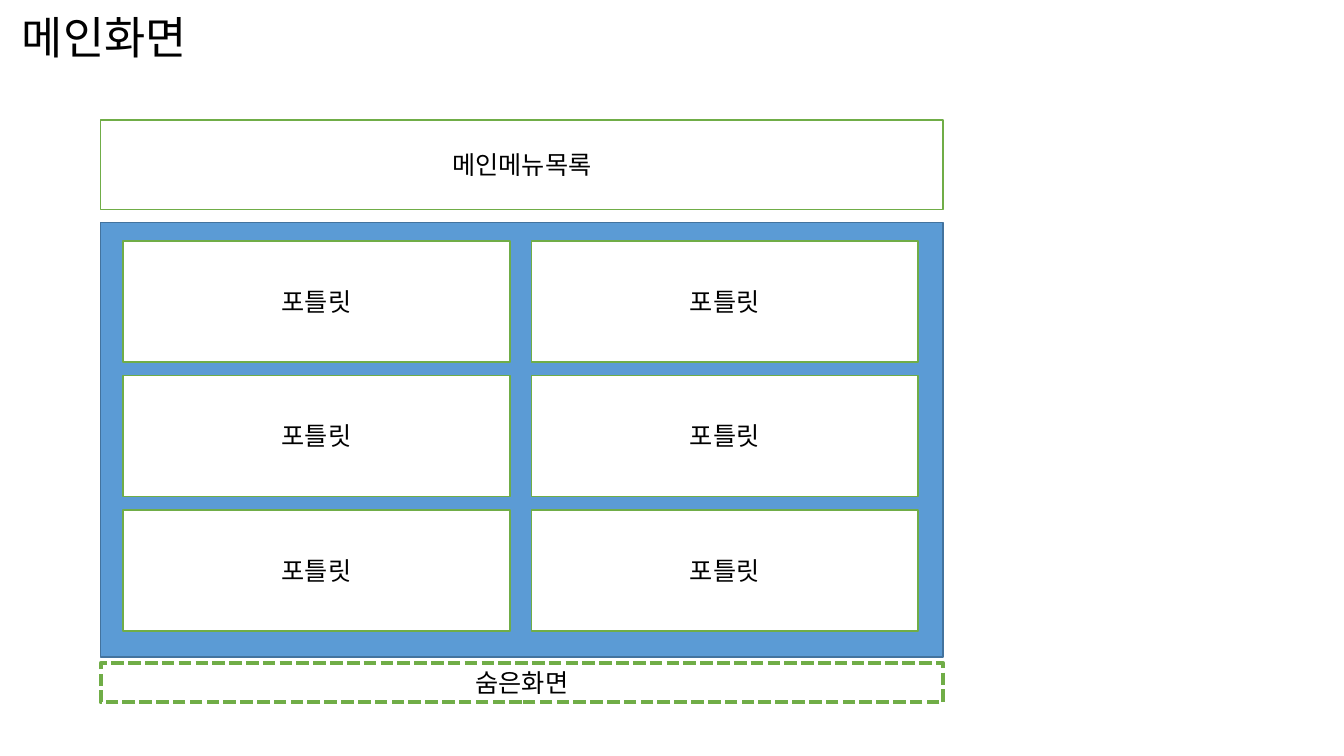
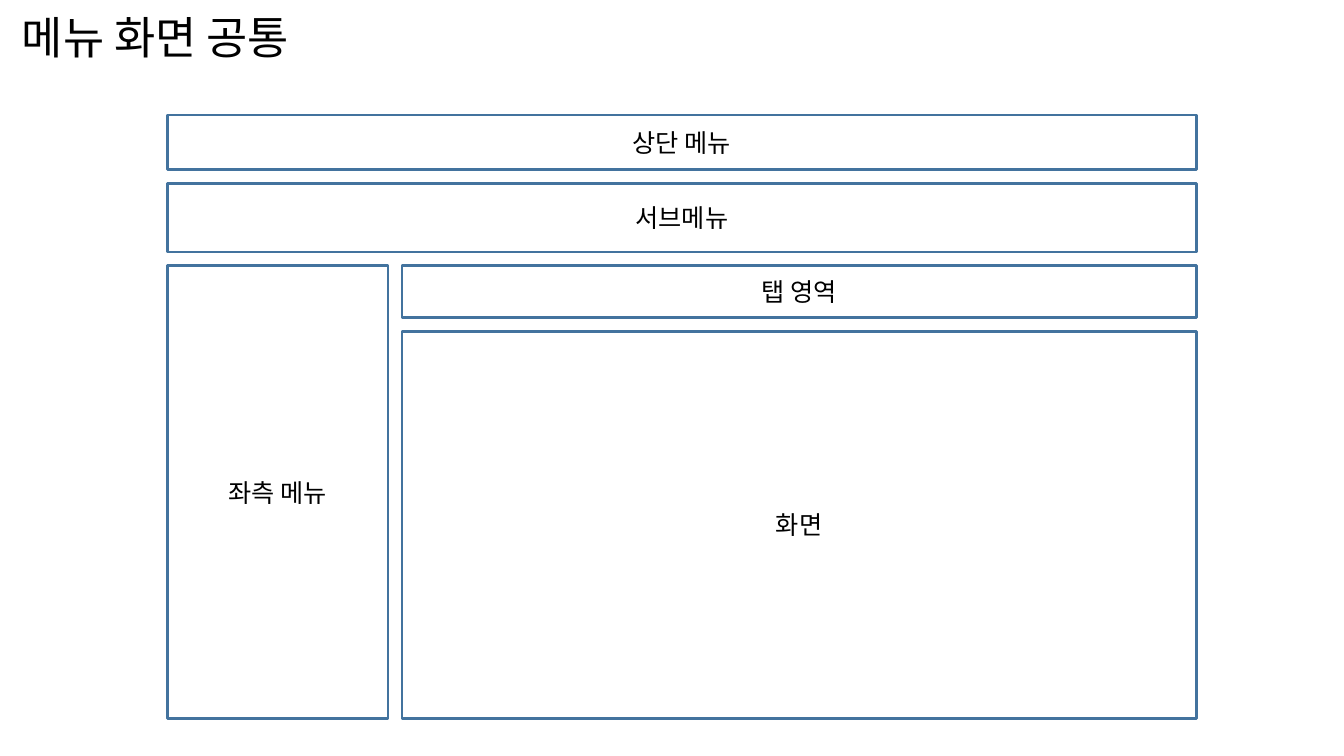
from itertools import product

from pptx import Presentation
from pptx.dml.color import RGBColor
from pptx.enum.dml import MSO_LINE_DASH_STYLE as Dash
from pptx.enum.shapes import MSO_SHAPE as Shape
from pptx.enum.text import MSO_ANCHOR as Anchor, PP_ALIGN as Align
from pptx.oxml.ns import qn
from pptx.util import Cm, Pt

FONT = "Noto Sans CJK KR"
COLORS = {
    "text": "000000",
    "paper": "FFFFFF",
    "panel": "5B9BD5",
    "blue_line": "43739E",
    "green_line": "70AD47",
}


def color(name):
    """Return the palette colour with this name."""
    return RGBColor.from_string(COLORS[name])


def write(frame, text, size, align):
    """Write one vertically centred line of text into a text frame."""
    frame.word_wrap = True
    frame.vertical_anchor = Anchor.MIDDLE
    paragraph = frame.paragraphs[0]
    paragraph.text = text
    paragraph.alignment = align
    font = paragraph.font
    font.name = FONT
    font.size = Pt(size)
    font.color.rgb = color("text")
    properties = paragraph._p.pPr.find(qn("a:defRPr"))
    east_asian = properties.makeelement(qn("a:ea"), {"typeface": FONT})
    properties.find(qn("a:latin")).addnext(east_asian)
    return paragraph


def add_title(slide, text):
    """Put the title in the top left corner of a slide."""
    title = slide.shapes.add_textbox(Cm(0.3), Cm(0.2), Cm(29.21), Cm(1.63))
    write(title.text_frame, text, 32, Align.LEFT).line_spacing = 0.9


def add_region(slide, box, line, weight, label=None, fill="paper", dash=None):
    """Draw a screen region in box (left, top, width, height in cm)."""
    region = slide.shapes.add_shape(Shape.RECTANGLE, *map(Cm, box))
    region.shadow.inherit = False
    region.fill.solid()
    region.fill.fore_color.rgb = color(fill)
    region.line.color.rgb = color(line)
    region.line.width = Pt(weight)
    if dash:
        region.line.dash_style = dash
    if label:
        write(region.text_frame, label, 18, Align.CENTER)


def add_portlets(slide, box, rows=3, columns=2):
    """Draw the portlet panel with its grid of portlets."""
    left, top, _, _ = box
    portlet_width, portlet_height = 9.75, 3.05
    column_gap, row_gap = 0.54, 0.34
    add_region(slide, box, "blue_line", 1, fill="panel")
    for column, row in product(range(columns), range(rows)):
        x = left + 0.56 + column * (portlet_width + column_gap)
        y = top + 0.46 + row * (portlet_height + row_gap)
        add_region(slide, (x, y, portlet_width, portlet_height),
                   "green_line", 1, "포틀릿")


def build_main_screen(slide, box):
    """Lay out the main screen: menu list, portlets and hidden screen."""
    left, top, width, height = box
    menu_height, panel_height, hidden_height = 2.26, 10.95, 0.99
    add_title(slide, "메인화면")
    add_portlets(slide, (left, top + menu_height + 0.33, width, panel_height))
    add_region(slide, (left, top + height - hidden_height, width, hidden_height),
               "green_line", 3, "숨은화면", dash=Dash.SQUARE_DOT)
    add_region(slide, (left, top, width, menu_height),
               "green_line", 1, "메인메뉴목록")


def build_menu_screen(slide, box):
    """Lay out the common menu screen: two bars, side menu, tabs and screen."""
    left, top, width, height = box
    bottom = top + height
    gap, side_width, tab_height = 0.35, 5.56, 1.3
    add_title(slide, "메뉴 화면 공통")

    y = top
    regions = []
    for label, bar_height in (("상단 메뉴", 1.37), ("서브메뉴", 1.73)):
        regions.append((label, (left, y, width, bar_height)))
        y += bar_height + gap

    main_left = left + side_width + gap
    main_width = width - side_width - gap
    screen_top = y + tab_height + gap
    regions += [
        ("좌측 메뉴", (left, y, side_width, bottom - y)),
        ("화면", (main_left, screen_top, main_width, bottom - screen_top)),
        ("탭 영역", (main_left, y, main_width, tab_height)),
    ]
    for label, region_box in regions:
        add_region(slide, region_box, "blue_line", 2, label)


def main():
    """Build both slides and save the presentation."""
    deck = Presentation()
    deck.slide_width, deck.slide_height = Cm(33.87), Cm(19.05)
    blank = deck.slide_layouts[6]
    build_main_screen(deck.slides.add_slide(blank), (2.54, 3.02, 21.23, 14.68))
    build_menu_screen(deck.slides.add_slide(blank), (4.22, 2.9, 25.93, 15.2))
    deck.save("out.pptx")


main()
